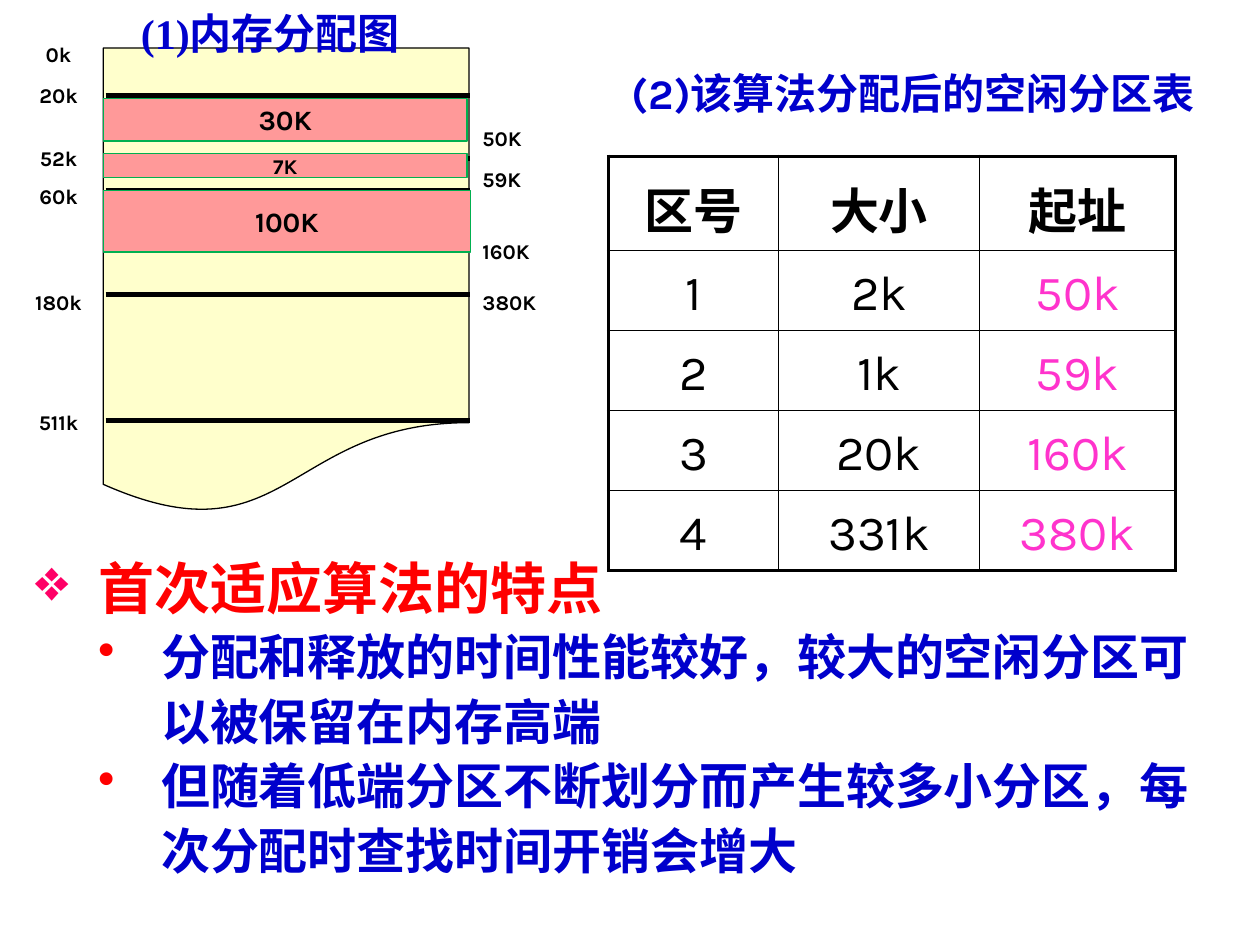
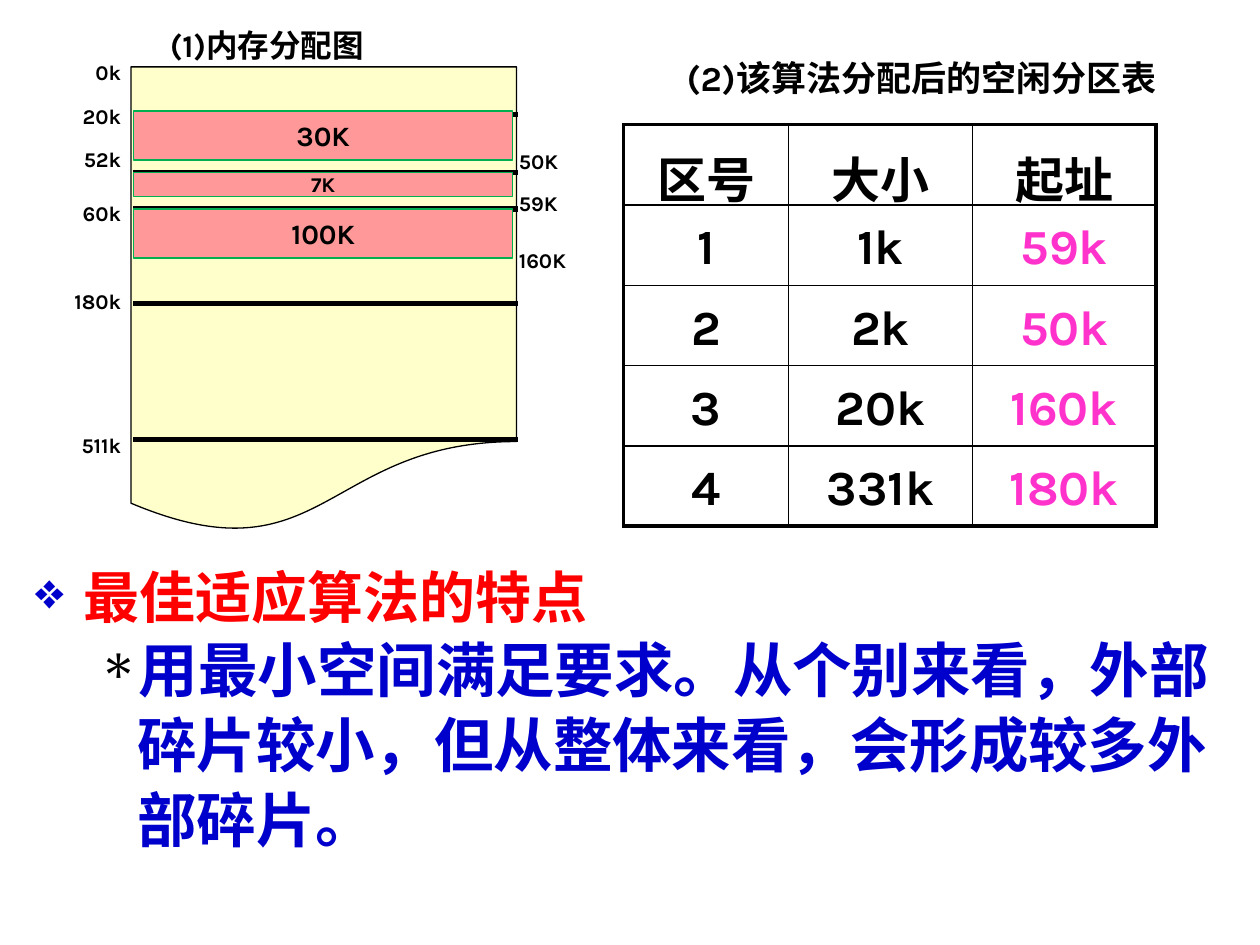
from lxml import etree
from pptx import Presentation
from pptx.dml.color import RGBColor
from pptx.enum import shapes, text
from pptx.oxml import ns
from pptx.util import Pt

LEFT, MID, RIGHT = text.PP_ALIGN.LEFT, text.PP_ALIGN.CENTER, text.PP_ALIGN.RIGHT
BLACK, BLUE, RED, PINK = "000000", "0000CC", "FF0000", "FF33CC"
CREAM, ROSE, GREEN = "FFFFCC", "FF9999", "00B050"
KARLA, TIMES = "Karla", "Times New Roman"


def color(code):
    return RGBColor.from_string(code)


def node(parent, tag, **attrs):
    return etree.SubElement(parent, ns.qn(tag), attrs)


class Deck:
    pitch = 14

    def __init__(self):
        self.prs = Presentation()
        self.prs.slide_width, self.prs.slide_height = Pt(720), Pt(540)

    def page(self):
        self.slide = self.prs.slides.add_slide(self.prs.slide_layouts[6])

    def font(self, para, size, hue=BLACK, face=KARLA, bold=True):
        font = para.font
        font.size, font.name, font.bold = Pt(size), face, bold
        font.color.rgb = color(hue)

    def box(self, *area):
        frame = self.slide.shapes.add_textbox(*map(Pt, area)).text_frame
        frame.word_wrap = True
        return frame

    def title(self, area, parts, size, hue, align=LEFT):
        para = self.box(*area).paragraphs[0]
        para.alignment = align
        self.font(para, size, hue, parts[0][1])
        for words, face in parts:
            run = para.add_run()
            run.text = words
            if face != parts[0][1]:
                run.font.name = face

    def shape(self, kind, area, fill, line):
        item = self.slide.shapes.add_shape(kind, *map(Pt, area))
        item.shadow.inherit = False
        item.fill.solid()
        item.fill.fore_color.rgb = color(fill)
        item.line.color.rgb = color(line)
        item.line.width = Pt(0.75)
        return item

    def block(self, area, label, size):
        frame = self.shape(shapes.MSO_SHAPE.RECTANGLE, area, ROSE, GREEN).text_frame
        frame.word_wrap = False
        frame.vertical_anchor = text.MSO_ANCHOR.MIDDLE
        para = frame.paragraphs[0]
        para.text, para.alignment = label, MID
        self.font(para, size)

    def rule(self, left, right, y):
        line = self.slide.shapes.add_connector(
            shapes.MSO_CONNECTOR.STRAIGHT, Pt(left), Pt(y), Pt(right), Pt(y))
        line.line.color.rgb = color(BLACK)
        line.line.width = Pt(3)
        node(line._element.spPr, "a:effectLst")

    def scale(self, area, marks, align):
        frame = self.box(*area)
        last = None
        for label, y in marks:
            if last is None:
                para = frame.paragraphs[0]
                frame.margin_top = Pt(max(0, y - area[1] - self.pitch / 2))
            else:
                para = frame.add_paragraph()
                para.space_before = Pt(y - last - self.pitch)
            para.text, para.alignment = label, align
            para.line_spacing = Pt(self.pitch)
            self.font(para, 12)
            last = y

    def edge(self, cell, side, width):
        line = node(cell._tc.get_or_add_tcPr(), "a:" + side, w=str(Pt(width)))
        node(node(line, "a:solidFill"), "a:srgbClr", val=BLACK)

    def table(self, left, top, widths, rows, bold):
        high = 45.8
        grid = self.slide.shapes.add_table(
            len(rows), len(widths), Pt(left), Pt(top),
            Pt(sum(widths)), Pt(high * len(rows))).table
        grid.first_row = grid.horz_banding = False
        for col, width in zip(grid.columns, widths):
            col.width = Pt(width)
        for r, row in enumerate(rows):
            grid.rows[r].height = Pt(high)
            for c, words in enumerate(row):
                cell = grid.cell(r, c)
                outer = {"lnL": c == 0, "lnR": c == len(widths) - 1,
                         "lnT": r == 0, "lnB": r == len(rows) - 1}
                for side, thick in outer.items():
                    self.edge(cell, side, 2.25 if thick else 1)
                cell.fill.background()
                para = cell.text_frame.paragraphs[0]
                para.text, para.alignment, para.line_spacing = words, MID, 1.15
                self.font(para, 28, PINK if r and c == 2 else BLACK,
                          bold=bold or r == 0)

    def points(self, area, space, items):
        frame = self.box(*area)
        for i, (words, size, hue, face, mark) in enumerate(items):
            para = frame.add_paragraph() if i else frame.paragraphs[0]
            para.text, para.line_spacing, para.level = words, space, min(i, 1)
            self.font(para, size, hue, face)
            sign, tint, scale, left, hang = mark
            props = para._p.get_or_add_pPr()
            props.set("marL", str(Pt(left)))
            props.set("indent", str(Pt(-hang)))
            node(node(props, "a:buClr"), "a:srgbClr", val=tint)
            node(props, "a:buSzPct", val=str(scale * 1000))
            node(props, "a:buChar", char=sign)
            props.append(props.find(ns.qn("a:defRPr")))

    def memory(self, body, span, rules, blocks):
        self.shape(shapes.MSO_SHAPE.FLOWCHART_DOCUMENT, body, CREAM, BLACK)
        for y in rules:
            self.rule(*span, y)
        for label, size, area in blocks:
            self.block(area, label, size)


MAP, FREE = "内存分配图", "(2)该算法分配后的空闲分区表"
HEAD = ("区号", "大小", "起址")
deck = Deck()

deck.page()
deck.table(347.8, 89.3, (97, 115, 112), (
    HEAD, ("1", "2k", "50k"), ("2", "1k", "59k"),
    ("3", "20k", "160k"), ("4", "331k", "380k")), False)
deck.title((342, 35.3, 360, 36), [(FREE, KARLA)], 24, BLUE, MID)
deck.memory((59, 27.4, 209, 267), (60.3, 268.6), (240.5, 90.7, 54.7, 108.7, 168.5), (
    ("100K", 16, (59, 108.7, 210, 35.3)),
    ("30K", 16, (59, 56.2, 208, 24.5)),
    ("7K", 12, (59, 87.8, 208, 13.7))))
deck.title((73.4, 0.7, 179.3, 36), [("(1)" + MAP, TIMES)], 24, BLUE)
deck.scale((0, 18.7, 67, 233), (
    ("0k", 31.4), ("20k", 54.3), ("52k", 90.3),
    ("60k", 112), ("180k", 172.6), ("511k", 241.7)), MID)
deck.scale((268.6, 60.5, 46.8, 122.4), (
    ("50K", 79.4), ("59K", 102.3), ("160K", 144), ("380K", 172.6)), LEFT)
dot = ("•", RED, 100, 72, 36)
deck.points((13, 308.9, 693.4, 197.3), 1.1, (
    ("首次适应算法的特点", 32, RED, TIMES, ("❖", "FF0066", 105, 36, 36)),
    ("分配和释放的时间性能较好，较大的空闲分区可以被保留在内存高端", 28, BLUE, KARLA, dot),
    ("但随着低端分区不断划分而产生较多小分区，每次分配时查找时间开销会增大", 28, BLUE, KARLA, dot)))

deck.page()
deck.title((314, 28.8, 425.5, 31), [(FREE, KARLA)], 20, BLACK, MID)
deck.memory((74.9, 38.2, 220.3, 267), (76.3, 296), (251.3, 98.6, 65.5, 119.5, 173.5), (
    ("100K", 16, (76.3, 119.5, 216.7, 28)),
    ("30K", 16, (76.3, 63.4, 216.7, 28)),
    ("7K", 12, (76.3, 98.6, 216.7, 13.7))))
deck.scale((26.6, 29.5, 49.7, 236), (
    ("0k", 41.7), ("20k", 66.3), ("52k", 90.9),
    ("60k", 122.3), ("180k", 172.6), ("511k", 254.9)), RIGHT)
deck.title((90, 11.5, 188.6, 29), [("(1)", KARLA), (MAP, TIMES)], 18, BLACK)
deck.scale((289.4, 70.6, 49.7, 155.5), (
    ("50K", 92), ("59K", 116), ("160K", 149.1)), LEFT)
deck.table(356.4, 71.3, (94.3, 105, 105), (
    HEAD, ("1", "1k", "59k"), ("2", "2k", "50k"),
    ("3", "20k", "160k"), ("4", "331k", "180k")), True)
deck.points((13, 316, 689.8, 184.3), 1.05, (
    ("最佳适应算法的特点", 32, RED, KARLA, ("❖", BLUE, 90, 27.4, 27.4)),
    ("用最小空间满足要求。从个别来看，外部碎片较小，但从整体来看，会形成较多外部碎片。",
     34, BLUE, TIMES, ("∗", BLACK, 95, 58.3, 22.3))))

deck.prs.save("out.pptx")
